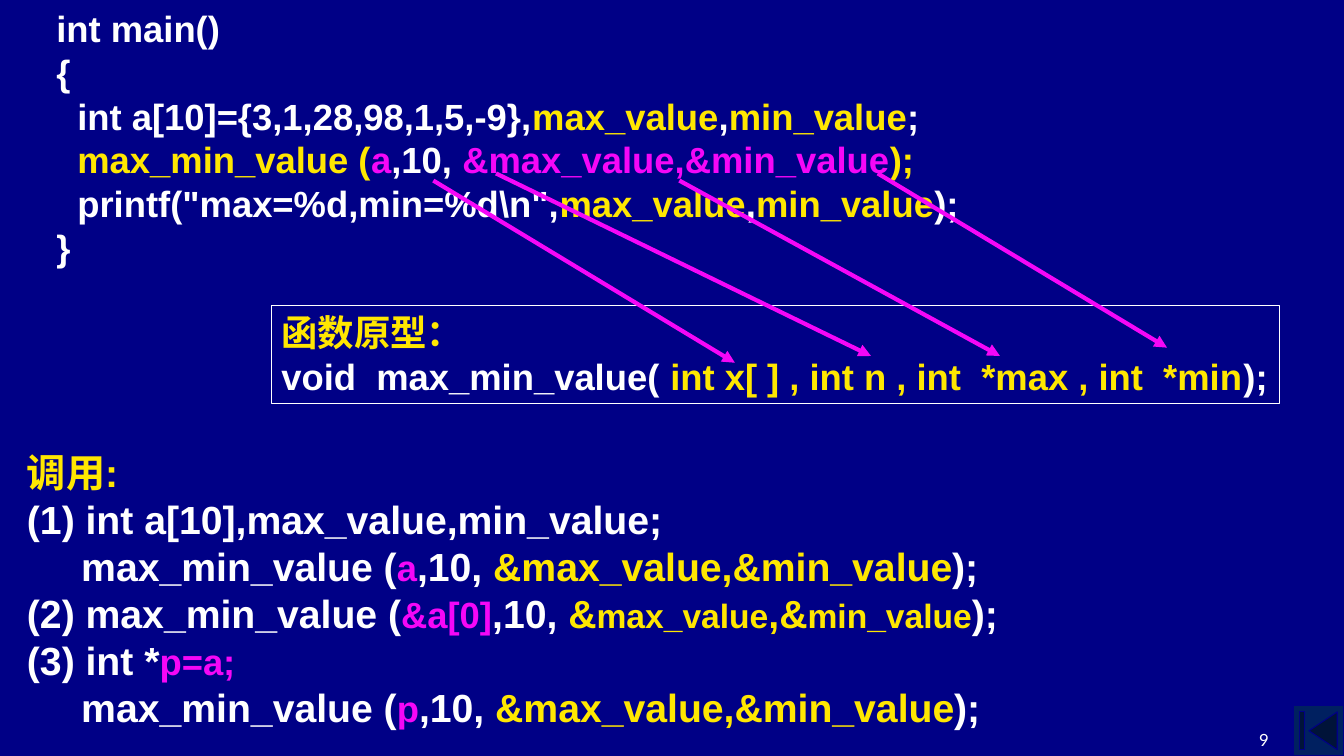
"""Build the slide on passing array and pointer arguments to a C function."""
from dataclasses import dataclass

import pptx
import pptx.util
import pptx.dml.color
import pptx.enum.shapes
import pptx.enum.text
import pptx.oxml
import pptx.oxml.ns
import pptx.slide

Cm = pptx.util.Cm
Pt = pptx.util.Pt
Kind = pptx.enum.shapes.MSO_SHAPE
Hold = pptx.enum.text.MSO_ANCHOR
Side = pptx.enum.text.PP_ALIGN
SPACE = pptx.oxml.ns.nsdecls("a")


@dataclass(frozen=True)
class Theme:
    back: str = "000086"
    plain: str = "FFFFFF"
    gold: str = "FFE701"
    pink: str = "F507F7"
    navy: str = "002060"
    font: str = "Arial"
    small_font: str = "Lato"
    large: int = 28
    mid: int = 26
    less: int = 24
    tiny: int = 12
    thin: float = 0.75
    thick: float = 3


LOOK = Theme()


@dataclass(frozen=True)
class Bit:
    text: str
    tint: str = LOOK.plain
    size: int = 0


@dataclass(frozen=True)
class Block:
    left: float
    top: float
    width: float
    height: float
    size: int
    lines: list[list[Bit]]
    hold: Hold = Hold.MIDDLE
    inset: float = 0
    stop: float = 0
    side: Side = Side.LEFT
    font: str = LOOK.font
    bold: bool = True
    frame: bool = False


@dataclass(frozen=True)
class Arrow:
    left: float
    top: float
    right: float
    base: float


def gold(text: str, size: int = 0) -> Bit:
    """Return a yellow run."""
    return Bit(text, LOOK.gold, size)


def pink(text: str, size: int = 0) -> Bit:
    """Return a magenta run."""
    return Bit(text, LOOK.pink, size)


def call(lead: str, first: str) -> list[Bit]:
    """Return the start of a call with its first argument marked."""
    return [Bit(f"{lead}max_min_value ("), pink(first, LOOK.mid), Bit(",10, ")]


PAIR = [gold("max_value"), Bit(","), gold("min_value")]
REFS = [gold("&max_value,&min_value"), Bit(");")]

BLOCKS = [
    Block(24.33, 17.75, 7.9, 1.27, LOOK.tiny, [[Bit("9")]], hold=Hold.BOTTOM,
          side=Side.RIGHT, font=LOOK.small_font, bold=False),
    Block(0.43, 0, 25.4, 6.93, LOOK.mid, [
        [Bit("int main()")],
        [Bit("{")],
        [Bit("\tint a[10]={3,1,28,98,1,5,-9},"), *PAIR, Bit(";")],
        [Bit("\t"), gold("max_min_value ("), pink("a"), Bit(",10, "),
         pink("&max_value,&min_value"), gold(");")],
        [Bit("\tprintf(\"max=%d,min=%d\\n\","), *PAIR, Bit(");")],
        [Bit("}")],
    ], inset=0.74, stop=2.54),
    Block(0.43, 11.13, 27.1, 7.44, LOOK.large, [
        [gold("调用:")],
        [Bit("(1) int a[10],max_value,min_value;")],
        [*call("     ", "a"), *REFS],
        [*call("(2) ", "&a[0]"), gold("&"), gold("max_value", LOOK.less),
         gold(",&"), gold("min_value", LOOK.less), Bit(");")],
        [Bit("(3) int *"), pink("p=a;", LOOK.mid)],
        [*call("     ", "p"), *REFS],
    ]),
    Block(6.84, 7.7, 25.4, 2.46, LOOK.mid, [
        [gold("函数原型：")],
        [Bit("void  max_min_value( "),
         gold("int x[ ] , int n , int  *max , int  *min"), Bit(");")],
    ], hold=Hold.TOP, frame=True),
]

ARROWS = [
    Arrow(17.12, 4.55, 25.2, 8.97),
    Arrow(22.12, 4.37, 29.41, 8.76),
    Arrow(10.92, 4.55, 18.52, 9.14),
    Arrow(12.5, 4.37, 21.95, 8.97),
]


def shade(code: str) -> pptx.dml.color.RGBColor:
    """Return a colour from its hex code."""
    return pptx.dml.color.RGBColor.from_string(code)


def draw_block(slide: pptx.slide.Slide, block: Block) -> None:
    """Draw a block of text, framed if asked."""
    place = [Cm(n) for n in (block.left, block.top, block.width, block.height)]
    if block.frame:
        shape = slide.shapes.add_shape(Kind.RECTANGLE, *place)
        shape.shadow.inherit = False
        shape.fill.background()
        shape.line.color.rgb = shade(LOOK.plain)
        shape.line.width = Pt(LOOK.thin)
    else:
        shape = slide.shapes.add_textbox(*place)
    frame = shape.text_frame
    frame.word_wrap = True
    frame.vertical_anchor = block.hold
    for at, line in enumerate(block.lines):
        para = frame.add_paragraph() if at else frame.paragraphs[0]
        para.alignment = block.side
        if block.stop:
            props = para._p.get_or_add_pPr()
            props.set("marL", "0")
            props.set("indent", str(Cm(block.inset)))
            props.append(pptx.oxml.parse_xml(
                f'<a:tabLst {SPACE}><a:tab pos="{Cm(block.stop)}" algn="l"/>'
                '</a:tabLst>'))
        for bit in line:
            run = para.add_run()
            run.text = bit.text
            run.font.name = block.font
            run.font.size = Pt(bit.size or block.size)
            run.font.bold = block.bold
            run.font.color.rgb = shade(bit.tint)


def draw_arrow(slide: pptx.slide.Slide, arrow: Arrow) -> None:
    """Draw an arrow from an argument to its parameter."""
    ends = [Cm(n) for n in (arrow.left, arrow.top, arrow.right, arrow.base)]
    line = slide.shapes.add_connector(
        pptx.enum.shapes.MSO_CONNECTOR.STRAIGHT, *ends)
    line.line.color.rgb = shade(LOOK.pink)
    line.line.width = Pt(LOOK.thick)
    tip = pptx.oxml.parse_xml(f'<a:tailEnd {SPACE} type="triangle"/>')
    line.line._get_or_add_ln().append(tip)
    flat = pptx.oxml.parse_xml(f"<a:effectLst {SPACE}/>")
    line._element.spPr.append(flat)


def draw_button(slide: pptx.slide.Slide) -> None:
    """Draw the button that leads to the first slide."""
    shape = slide.shapes.add_shape(Kind.ACTION_BUTTON_BEGINNING, Cm(32.59),
                                   Cm(17.78), Cm(1.27), Cm(1.27))
    shape.shadow.inherit = False
    shape.fill.solid()
    shape.fill.fore_color.rgb = shade(LOOK.navy)
    shape.line.color.rgb = shade(LOOK.back)
    shape.line.width = Pt(LOOK.thin)


def main() -> None:
    """Build and save the slide."""
    deck = pptx.Presentation()
    deck.slide_width, deck.slide_height = Cm(33.87), Cm(19.05)
    slide = deck.slides.add_slide(deck.slide_layouts[6])
    slide.background.fill.solid()
    slide.background.fill.fore_color.rgb = shade(LOOK.back)
    draw_button(slide)
    for block in BLOCKS:
        draw_block(slide, block)
    for arrow in ARROWS:
        draw_arrow(slide, arrow)
    deck.save("out.pptx")


if __name__ == "__main__":
    main()
